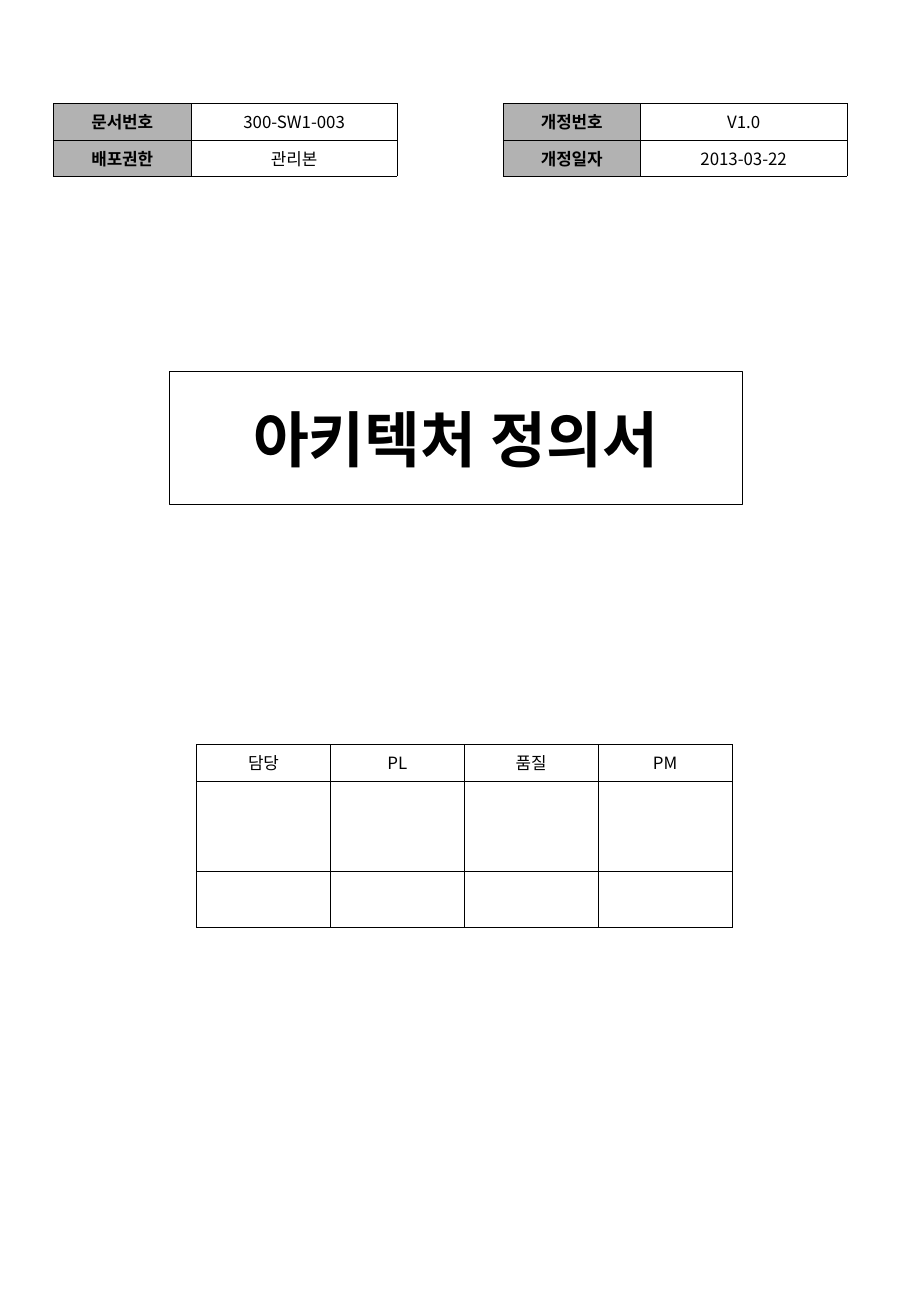
"""Build the cover page of an architecture definition document."""
from dataclasses import dataclass

from lxml import etree
from pptx import Presentation
from pptx.dml.color import RGBColor
from pptx.enum.shapes import MSO_SHAPE
from pptx.enum.text import MSO_ANCHOR, PP_ALIGN
from pptx.oxml.ns import qn
from pptx.slide import Slide
from pptx.table import _Cell
from pptx.text.text import _Paragraph
from pptx.util import Cm, Pt

RECTANGLE = MSO_SHAPE.RECTANGLE
MIDDLE = MSO_ANCHOR.MIDDLE
CENTER = PP_ALIGN.CENTER
BORDER_TAGS = ("a:lnL", "a:lnR", "a:lnT", "a:lnB")
BLANK_LAYOUT = 6


@dataclass(frozen=True)
class Theme:
    font: str = "Noto Sans CJK KR"
    ink: str = "000000"
    paper: str = "FFFFFF"
    label_fill: str = "B2B2B2"
    title_size: float = 36
    cell_size: float = 10
    cell_space_before: float = 2.5
    title_line: float = 0.25
    table_line: float = 0.11


@dataclass(frozen=True)
class Grid:
    left: float
    top: float
    column_widths: tuple[float, ...]
    row_heights: tuple[float, ...]
    rows: tuple[tuple[str, ...], ...]
    has_labels: bool = False


THEME = Theme()
INFO_TOP = 2.16
INFO_COLUMNS = (2.87, 4.32)
INFO_ROWS = (0.76, 0.76)
BLANK_ROW = ("",) * 4

GRIDS = (
    Grid(4.11, 15.57, (2.8,) * 4, (0.76, 1.9, 1.17),
         (("담당", "PL", "품질", "PM"), BLANK_ROW, BLANK_ROW)),
    Grid(1.12, INFO_TOP, INFO_COLUMNS, INFO_ROWS,
         (("문서번호", "300-SW1-003"), ("배포권한", "관리본")), True),
    Grid(10.52, INFO_TOP, INFO_COLUMNS, INFO_ROWS,
         (("개정번호", "V1.0"), ("개정일자", "2013-03-22")), True),
)


def add_text(paragraph: _Paragraph, text: str, size: float, bold: bool) -> None:
    """Add one centred run in the theme font."""
    paragraph.alignment = CENTER
    run = paragraph.add_run()
    run.text = text
    run.font.size = Pt(size)
    run.font.bold = bold
    run.font.name = THEME.font
    run.font.color.rgb = RGBColor.from_string(THEME.ink)
    properties = run.font._element
    etree.SubElement(properties, qn("a:ea"), typeface=THEME.font)


def add_borders(cell: _Cell) -> None:
    """Draw a thin line on all four sides of a cell."""
    properties = cell._tc.get_or_add_tcPr()
    for tag in BORDER_TAGS:
        line = etree.SubElement(properties, qn(tag), w=str(Pt(THEME.table_line)))
        fill = etree.SubElement(line, qn("a:solidFill"))
        etree.SubElement(fill, qn("a:srgbClr"), val=THEME.ink)


def fill_cell(cell: _Cell, text: str, is_label: bool) -> None:
    """Style a cell and write its text."""
    add_borders(cell)
    if is_label:
        cell.fill.solid()
        cell.fill.fore_color.rgb = RGBColor.from_string(THEME.label_fill)
    else:
        cell.fill.background()
    cell.vertical_anchor = MIDDLE
    if text:
        paragraph = cell.text_frame.paragraphs[0]
        paragraph.space_before = Pt(THEME.cell_space_before)
        add_text(paragraph, text, THEME.cell_size, is_label)


def add_grid(slide: Slide, grid: Grid) -> None:
    """Add one bordered table."""
    table = slide.shapes.add_table(
        len(grid.row_heights), len(grid.column_widths),
        Cm(grid.left), Cm(grid.top),
        Cm(sum(grid.column_widths)), Cm(sum(grid.row_heights)),
    ).table
    table.first_row = False
    table.horz_banding = False
    for column, width in zip(table.columns, grid.column_widths):
        column.width = Cm(width)
    for row, height, texts in zip(table.rows, grid.row_heights, grid.rows):
        row.height = Cm(height)
        for index, (cell, text) in enumerate(zip(row.cells, texts)):
            fill_cell(cell, text, grid.has_labels and index == 0)


def add_title(slide: Slide, text: str) -> None:
    """Add the framed document title."""
    shape = slide.shapes.add_shape(
        RECTANGLE, Cm(3.53), Cm(7.77), Cm(11.99), Cm(2.79))
    shape.shadow.inherit = False
    shape.fill.solid()
    shape.fill.fore_color.rgb = RGBColor.from_string(THEME.paper)
    shape.line.color.rgb = RGBColor.from_string(THEME.ink)
    shape.line.width = Pt(THEME.title_line)
    shape.text_frame.vertical_anchor = MIDDLE
    add_text(shape.text_frame.paragraphs[0], text, THEME.title_size, True)


def main() -> None:
    """Create and save the presentation."""
    presentation = Presentation()
    presentation.slide_width = Cm(19.05)
    presentation.slide_height = Cm(27.53)
    slide = presentation.slides.add_slide(presentation.slide_layouts[BLANK_LAYOUT])
    add_title(slide, "아키텍처 정의서")
    for grid in GRIDS:
        add_grid(slide, grid)
    presentation.save("out.pptx")


if __name__ == "__main__":
    main()
